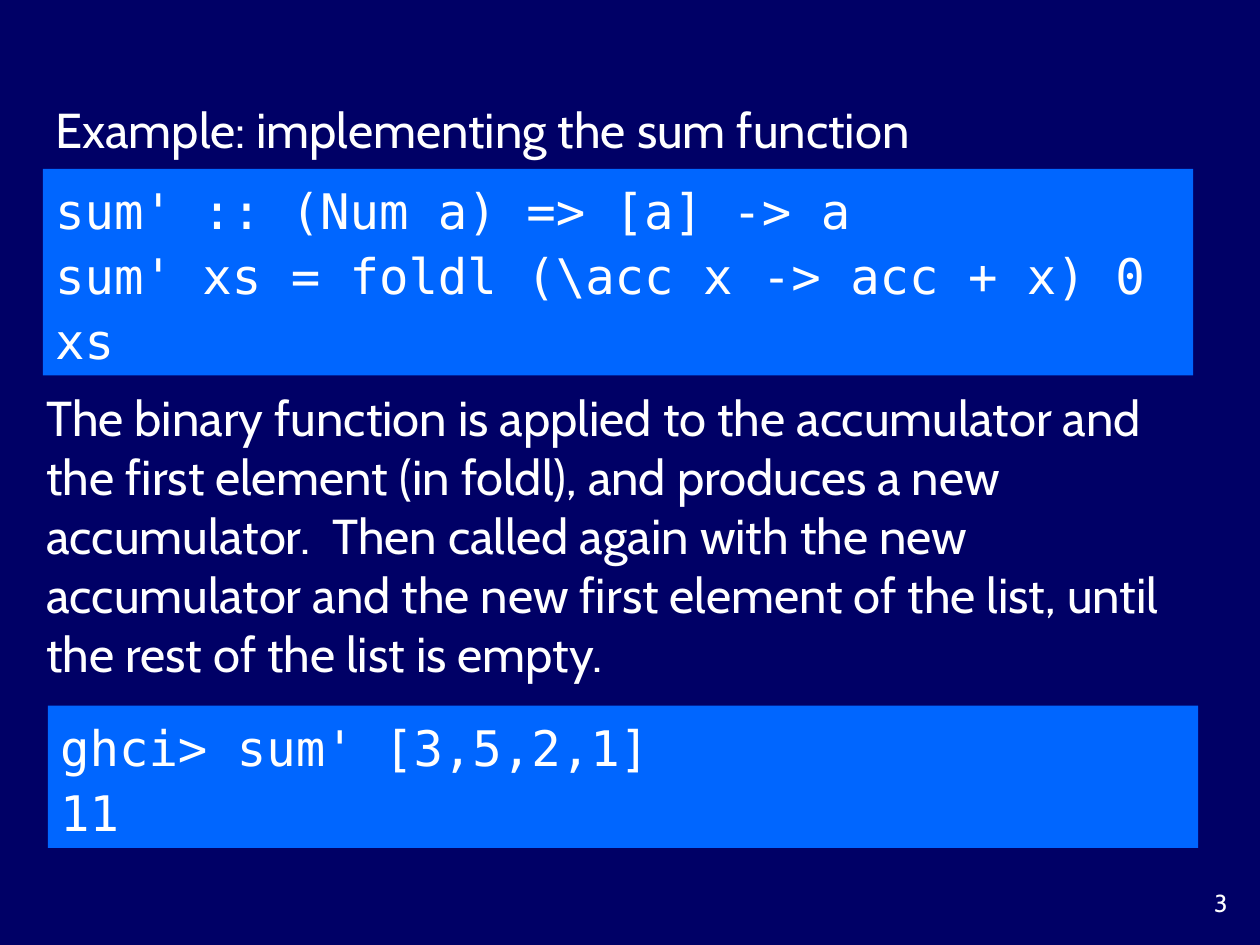
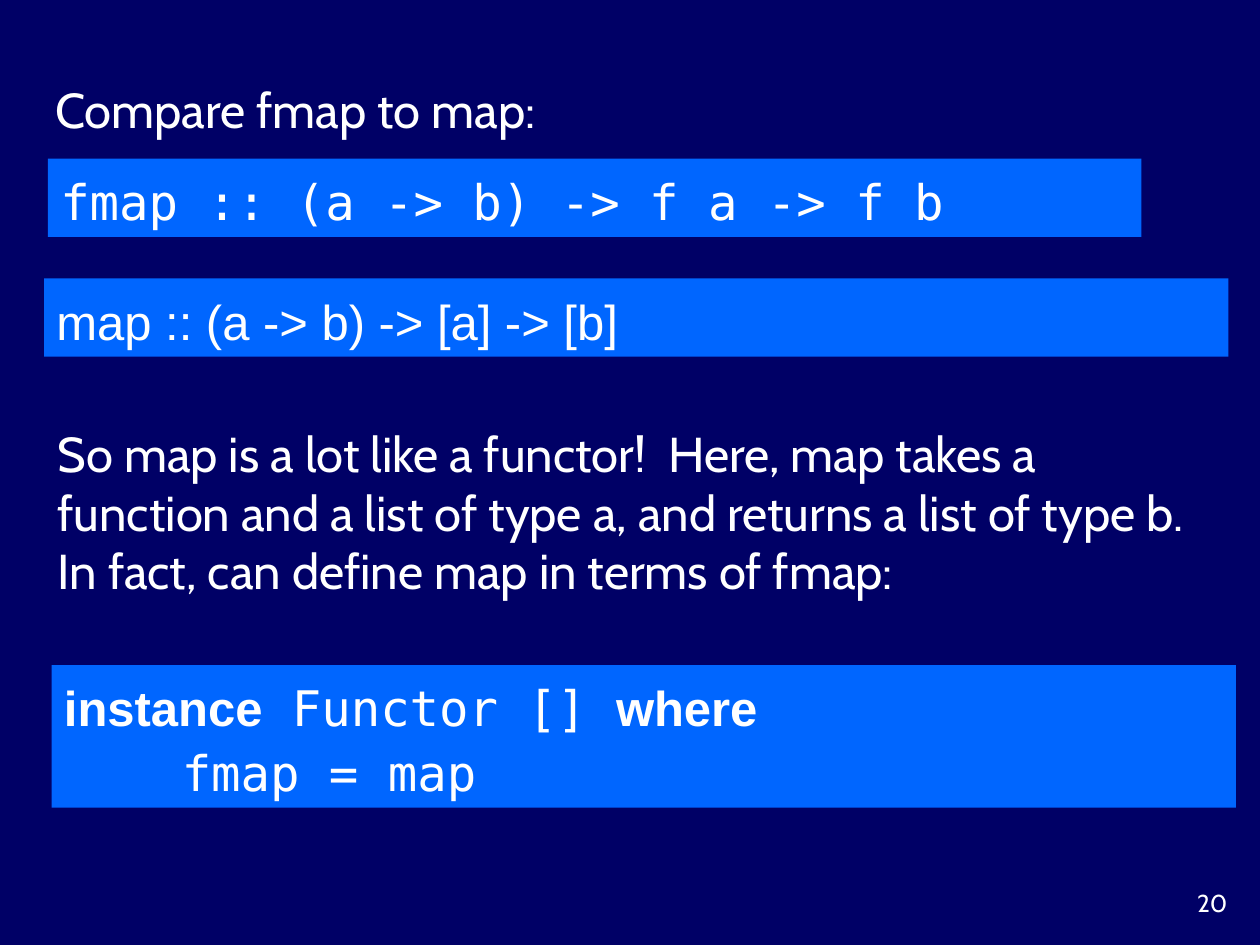
from pptx import Presentation
from pptx.dml.color import RGBColor
from pptx.enum.shapes import MSO_SHAPE as Shape
from pptx.enum.text import MSO_ANCHOR as Anchor, PP_ALIGN as Align
from pptx.util import Inches, Pt

NAVY, BLUE, WHITE = "000066", "0066FF", "FFFFFF"
PROSE, MONO, SANS = "Cabin", "DejaVu Sans Mono", "Arial"
TEXT_SIZE, NUMBER_SIZE = 28, 14
CODE_SPACING = 1.1
NUMBER_AREA = (9.17, 7, 0.67, 0.33)

SLIDES = [
    {
        "number": "3",
        "prose": [
            ((0.34, 0.74, 9.12, 0.57), ["Example: implementing the sum function"]),
            ((0.27, 2.56, 9.02, 3.37), [
                "The binary function is applied to the accumulator and the first "
                "element (in foldl), and produces a new accumulator.  Then called "
                "again with the new accumulator and the new first element of the "
                "list, until the rest of the list is empty."]),
        ],
        "code": [
            ((0.34, 1.34, 9.13, 1.64), [
                [("sum' :: (Num a) => [a] -> a", MONO, False)],
                [("sum' xs = foldl (\\acc x -> acc + x) 0 xs", MONO, False)]]),
            ((0.38, 5.6, 9.13, 1.13), [
                [("ghci> sum' [3,5,2,1]", MONO, False)],
                [("11", MONO, False)]]),
        ],
    },
    {
        "number": "20",
        "prose": [
            ((0.34, 0.58, 9.31, 0.57), ["Compare fmap to map:"]),
            ((0.36, 2.61, 9.31, 2.9), [
                "So map is a lot like a functor!  Here, map takes a function and "
                "a list of type a, and returns a list of type b.",
                "In fact, can define map in terms of fmap:"]),
        ],
        "code": [
            ((0.38, 1.26, 8.68, 0.62), [
                [("fmap :: (a -> b) -> f a -> f b", MONO, False)]]),
            ((0.35, 2.21, 9.4, 0.62), [
                [("map :: (a -> b) -> [a] -> [b]", SANS, False)]]),
            ((0.41, 5.28, 9.4, 1.13), [
                [("instance", SANS, True), (" Functor [] ", MONO, False),
                 ("where", SANS, True)],
                [("    fmap = map", MONO, False)]]),
        ],
    },
]


def paint(fill, color):
    fill.solid()
    fill.fore_color.rgb = RGBColor.from_string(color)


def write(box, lines, size=TEXT_SIZE, align=Align.LEFT, anchor=Anchor.MIDDLE, spacing=None):
    frame = box.text_frame
    frame.word_wrap = True
    frame.vertical_anchor = anchor
    for index, line in enumerate(lines):
        para = frame.add_paragraph() if index else frame.paragraphs[0]
        para.alignment = align
        if spacing:
            para.line_spacing = spacing
        for text, font, bold in line:
            span = para.add_run()
            span.text = text
            span.font.name = font
            span.font.size = Pt(size)
            span.font.bold = bold
            span.font.color.rgb = RGBColor.from_string(WHITE)


def add_prose(page, area, texts, **style):
    box = page.shapes.add_textbox(*map(Inches, area))
    write(box, [[(text, PROSE, False)] for text in texts], **style)


def add_code(page, area, lines):
    box = page.shapes.add_shape(Shape.RECTANGLE, *map(Inches, area))
    box.shadow.inherit = False
    box.line.fill.background()
    paint(box.fill, BLUE)
    write(box, lines, spacing=CODE_SPACING)


def add_page(deck, content):
    page = deck.slides.add_slide(deck.slide_layouts[6])
    paint(page.background.fill, NAVY)
    add_prose(page, NUMBER_AREA, [content["number"]],
              size=NUMBER_SIZE, align=Align.RIGHT, anchor=Anchor.TOP)
    for area, lines in content["code"]:
        add_code(page, area, lines)
    for area, texts in content["prose"]:
        add_prose(page, area, texts)


def main():
    deck = Presentation()
    deck.slide_width, deck.slide_height = Inches(10), Inches(7.5)
    for content in SLIDES:
        add_page(deck, content)
    deck.save("out.pptx")


if __name__ == "__main__":
    main()
